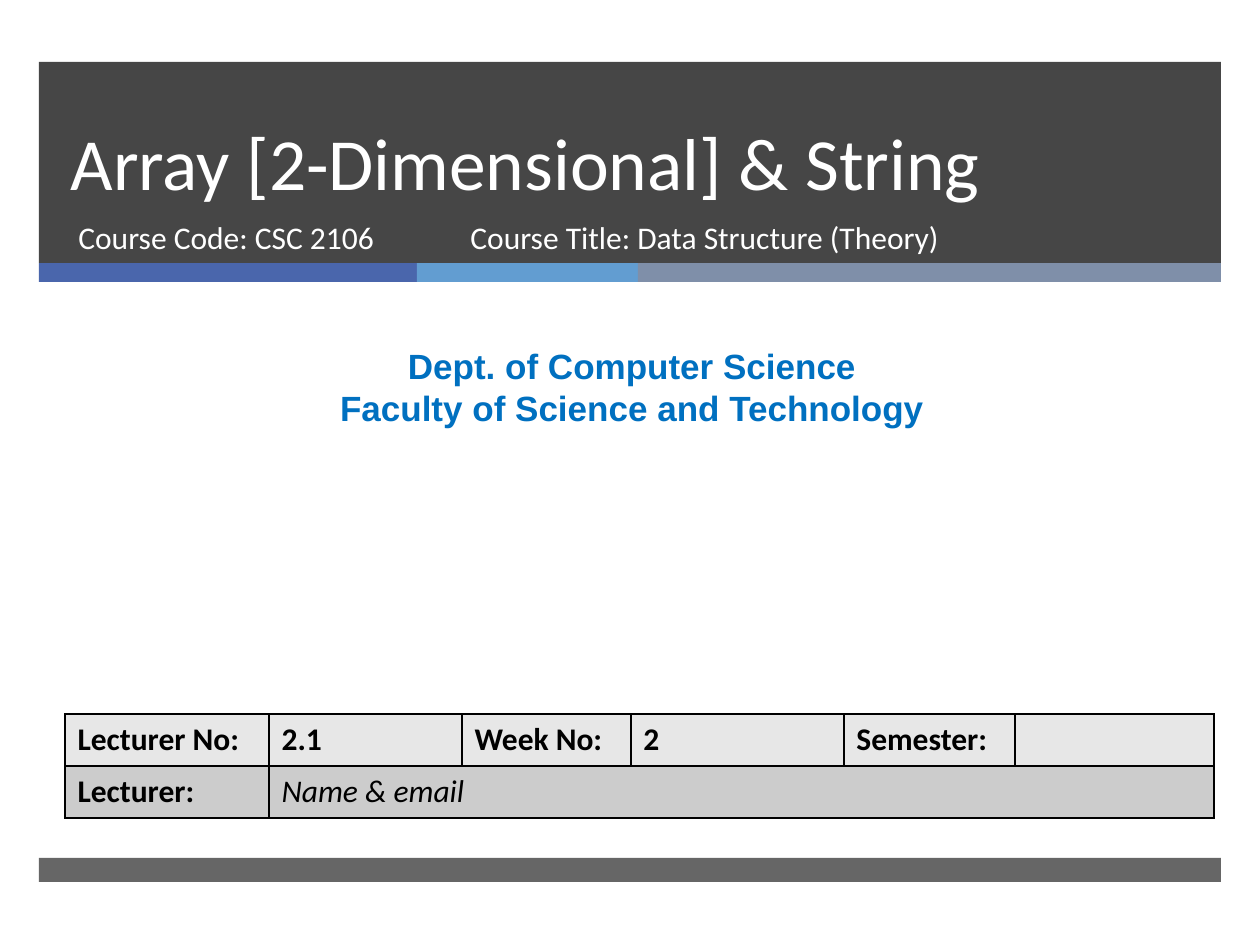
from lxml.etree import SubElement
from pptx import Presentation
from pptx.dml.color import RGBColor
from pptx.enum.shapes import MSO_SHAPE
from pptx.enum.text import MSO_ANCHOR, PP_ALIGN
from pptx.oxml.ns import qn
from pptx.util import Emu, Pt

PX = 914400 // 126
WHITE = RGBColor(0xFF, 0xFF, 0xFF)
BLACK = RGBColor(0, 0, 0)
DARK = RGBColor(0x26, 0x26, 0x26)
INDIGO = RGBColor(0x4A, 0x66, 0xAC)
SKY = RGBColor(0x62, 0x9D, 0xD1)
SLATE = RGBColor(0x7F, 0x8F, 0xA9)
BLUE = RGBColor(0x00, 0x70, 0xC0)
PALE = RGBColor(0xE7, 0xE7, 0xE7)
GREY = RGBColor(0xCC, 0xCC, 0xCC)


def px(*nums):
    return [Emu(n * PX) for n in nums]


def write(frame, text, size=18, color=WHITE, font="Calibri", bold=False,
          italic=False, align=PP_ALIGN.LEFT, anchor=MSO_ANCHOR.TOP, space=None):
    frame.word_wrap = True
    frame.vertical_anchor = anchor
    frame.text = text
    for par in frame.paragraphs:
        par.alignment = align
        par.line_spacing = space
        for run in par.runs:
            run.font.size = Pt(size)
            run.font.name = font
            run.font.bold = bold
            run.font.italic = italic
            run.font.color.rgb = color


def label(slide, box, text, **form):
    write(slide.shapes.add_textbox(*px(*box)).text_frame, text, **form)


def block(slide, box, color, alpha=100):
    """Add a plain rectangle, with its opacity in percent."""
    rect = slide.shapes.add_shape(MSO_SHAPE.RECTANGLE, *px(*box))
    rect.shadow.inherit = False
    rect.fill.solid()
    rect.fill.fore_color.rgb = color
    rect.line.fill.background()
    if alpha < 100:
        tone = rect.element.spPr.find(".//" + qn("a:srgbClr"))
        SubElement(tone, qn("a:alpha"), val=str(alpha * 1000))


def banner(slide, box):
    left, top, width, height = box
    deep = 19
    base = top + height - deep
    block(slide, (left, top, width, height - deep), DARK, 85)
    ends = (0, 378, 599, width)
    for start, end, color in zip(ends, ends[1:], (INDIGO, SKY, SLATE)):
        block(slide, (left + start, base, end - start, deep), color)

    title = slide.shapes.title
    title.left, title.top, title.width, title.height = px(left + 19, top, 1076, 150)
    write(title.text_frame, "Array [2-Dimensional] & String", size=42,
          anchor=MSO_ANCHOR.BOTTOM, space=Pt(46))
    title.element.getparent().append(title.element)

    label(slide, (left + 27, top + 150, 384, 67), "Course Code: CSC 2106")
    label(slide, (left + 419, top + 150, 573, 67),
          "Course Title: Data Structure (Theory)")


def border(cell):
    props = cell._tc.get_or_add_tcPr()
    for spot, side in enumerate(("lnL", "lnR", "lnT", "lnB")):
        line = props.makeelement(qn("a:" + side), {"w": str(Pt(1))})
        fill = SubElement(line, qn("a:solidFill"))
        SubElement(fill, qn("a:srgbClr"), val=str(BLACK))
        props.insert(spot, line)


def details(slide, box):
    rows = (("Lecturer No:", "2.1", "Week No:", "2", "Semester:", ""),
            ("Lecturer:", "Name & email", "", "", "", ""))
    widths = (204, 193, 169, 213, 171, 199)
    table = slide.shapes.add_table(len(rows), len(widths), *px(*box)).table
    for col, width in zip(table.columns, px(*widths)):
        col.width = width
    for r, (texts, color) in enumerate(zip(rows, (PALE, GREY))):
        for c, text in enumerate(texts):
            cell = table.cell(r, c)
            cell.fill.solid()
            cell.fill.fore_color.rgb = color
            border(cell)
            name = r == 1 and c == 1
            if text:
                write(cell.text_frame, text, color=BLACK, bold=not name, italic=name)
    table.cell(1, 1).merge(table.cell(1, 5))


def main():
    deck = Presentation()
    deck.slide_width, deck.slide_height = px(1260, 945)
    slide = deck.slides.add_slide(deck.slide_layouts[5])
    banner(slide, (39, 62, 1182, 220))
    label(slide, (10, 338, 1244, 97),
          "Dept. of Computer Science\nFaculty of Science and Technology",
          size=20, color=BLUE, font="Arial", bold=True, align=PP_ALIGN.CENTER)
    details(slide, (65, 714, 1149, 104))
    block(slide, (39, 858, 1182, 24), DARK, 70)
    deck.save("out.pptx")


if __name__ == "__main__":
    main()
